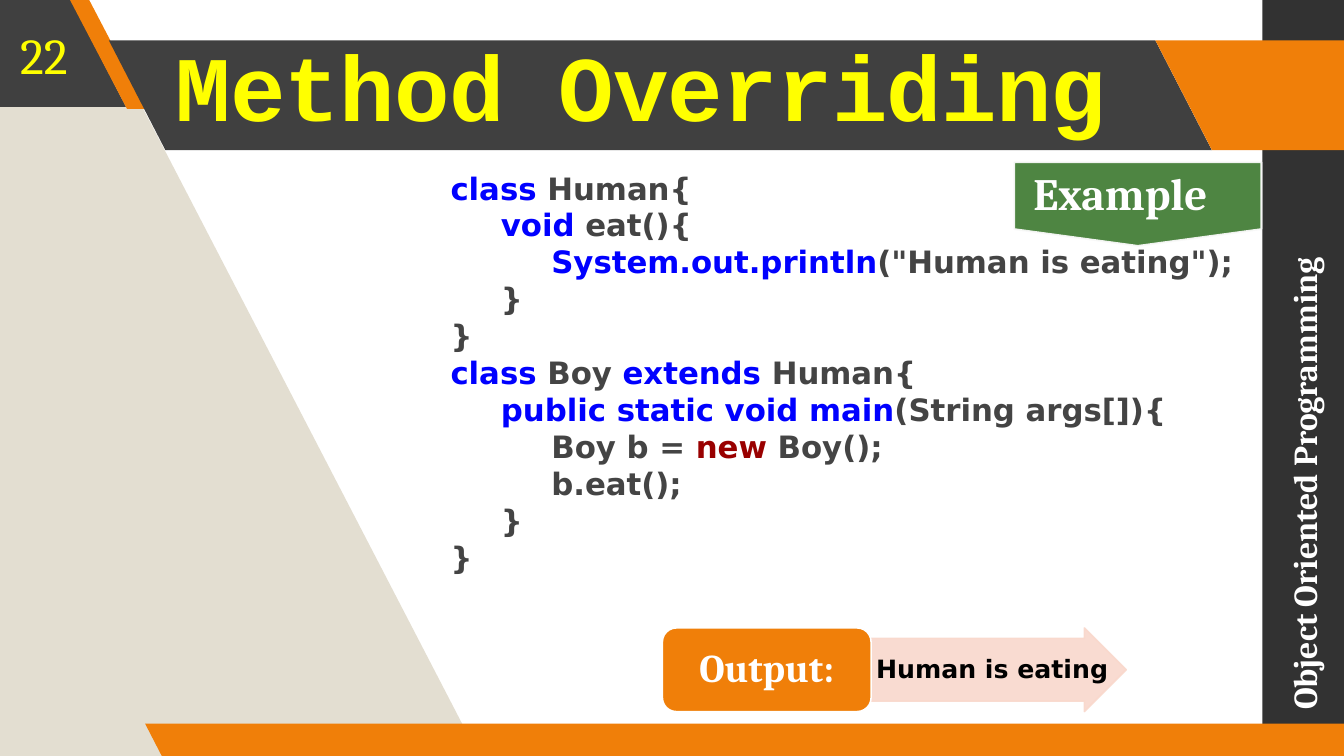
from pptx import Presentation
from pptx.dml.color import RGBColor
from pptx.enum.shapes import MSO_SHAPE as SHAPE
from pptx.enum.text import MSO_ANCHOR as ANCHOR, PP_ALIGN as ALIGN
from pptx.oxml.ns import qn
from pptx.util import Inches, Pt
from lxml import etree

WHITE = RGBColor(0xFF, 0xFF, 0xFF)
BLACK = RGBColor(0, 0, 0)
YELLOW = RGBColor(0xFF, 0xFF, 0)
ORANGE = RGBColor(0xF0, 0x7F, 0x09)
CHARCOAL = RGBColor(0x40, 0x40, 0x40)
SIDEBAR = RGBColor(0x32, 0x32, 0x32)
SAND = RGBColor(0xE3, 0xDE, 0xD1)
PEACH = RGBColor(0xF9, 0xD8, 0xCC)
GREEN = RGBColor(0x4E, 0x85, 0x42)
PALE = RGBColor(0xF9, 0xF9, 0xF9)
KEYWORD = RGBColor(0, 0, 0xFF)
PLAIN = RGBColor(0x44, 0x44, 0x44)
NEW = RGBColor(0x99, 0, 0)

SERIF, MONO, SANS = "Cambria", "Courier New", "DejaVu Sans"
INDENT = 0.5
SLANT = 0.515

# Each code line: indent level, then (text, colour) runs
CODE = [
    (0, [("class ", KEYWORD), ("Human{", PLAIN)]),
    (1, [("void ", KEYWORD), ("eat(){", PLAIN)]),
    (2, [("System.out.println", KEYWORD), ('("Human is eating");', PLAIN)]),
    (1, [("}", PLAIN)]),
    (0, [("}", PLAIN)]),
    (0, [("class ", KEYWORD), ("Boy ", PLAIN), ("extends ", KEYWORD), ("Human{", PLAIN)]),
    (1, [("public static void main", KEYWORD), ("(String args[]){", PLAIN)]),
    (2, [("Boy b = ", PLAIN), ("new ", NEW), ("Boy();", PLAIN)]),
    (2, [("b.eat();", PLAIN)]),
    (1, [("}", PLAIN)]),
    (0, [("}", PLAIN)]),
]

# Left, top, width, height, slant, fill
BANDS = [
    (-1.32, -0.03, 2.57, 1.09, SLANT, CHARCOAL),
    (0.69, -0.01, 0.76, 1.09, 0.75, ORANGE),
    (1.08, 0.4, 10.94, 1.09, SLANT, CHARCOAL),
    (11.46, 0.4, 2.57, 1.09, SLANT, ORANGE),
    (1.44, 7.18, 12.2, 0.33, SLANT, ORANGE),
]


def set_alpha(fill_parent, percent):
    """Make the solid fill directly under the given element translucent."""
    color = fill_parent.find(qn("a:solidFill"))[0]
    etree.SubElement(color, qn("a:alpha")).set("val", str(percent * 1000))


def paint(sp, fill, line=None, width=1.1, alpha=100, line_alpha=100):
    sp.shadow.inherit = False
    sp.fill.solid()
    sp.fill.fore_color.rgb = fill
    if line is None:
        sp.line.fill.background()
    else:
        sp.line.color.rgb = line
        sp.line.width = Pt(width)
    if alpha < 100:
        set_alpha(sp._element.spPr, alpha)
    if line_alpha < 100:
        set_alpha(sp._element.spPr.find(qn("a:ln")), line_alpha)
    return sp


def add_shape(s, kind, box, fill, adj=(), **style):
    sp = s.shapes.add_shape(kind, *map(Inches, box))
    for i, value in enumerate(adj):
        sp.adjustments[i] = value
    return paint(sp, fill, **style)


def add_band(s, left, top, width, height, slant, fill):
    """Parallelogram leaning to the left."""
    sp = add_shape(s, SHAPE.PARALLELOGRAM, (left, top, width, height), fill, [slant])
    sp._element.spPr.find(qn("a:xfrm")).set("flipH", "1")


def add_side_panel(s):
    builder = s.shapes.build_freeform(Inches(4.75), Inches(7.5))
    corners = [(0.83, -0.06), (-0.08, -0.05), (-0.03, 7.55)]
    builder.add_line_segments([(Inches(x), Inches(y)) for x, y in corners])
    paint(builder.convert_to_shape(), SAND)


def add_run(p, text, font=SERIF, size=24, color=WHITE, bold=True, spacing=None):
    r = p.add_run()
    r.text = text
    r.font.name = font
    r.font.size = Pt(size)
    r.font.bold = bold
    r.font.color.rgb = color
    if spacing is not None:
        r.font._element.set("spc", str(int(spacing * 100)))


def add_frame(s, box, anchor=ANCHOR.TOP, inset=(0.1, 0.05), rotation=0):
    sp = s.shapes.add_textbox(*map(Inches, box))
    sp.rotation = rotation
    tf = sp.text_frame
    tf.word_wrap = True
    tf.vertical_anchor = anchor
    tf.margin_left = tf.margin_right = Inches(inset[0])
    tf.margin_top = tf.margin_bottom = Inches(inset[1])
    return tf


def add_text(s, text, box, align=ALIGN.LEFT, line_spacing=None,
             anchor=ANCHOR.TOP, inset=(0.1, 0.05), rotation=0, **font):
    p = add_frame(s, box, anchor, inset, rotation).paragraphs[0]
    p.alignment = align
    if line_spacing:
        p.line_spacing = line_spacing
    add_run(p, text, **font)


def add_code(s, lines, box):
    tf = add_frame(s, box)
    for i, (level, runs) in enumerate(lines):
        p = tf.add_paragraph() if i else tf.paragraphs[0]
        p.alignment = ALIGN.JUSTIFY
        p.level = level
        pPr = p._p.get_or_add_pPr()
        pPr.set("marL", str(Inches(INDENT * level)))
        pPr.set("indent", "0")
        for text, color in runs:
            add_run(p, text, font=SANS, size=22, color=color)


def add_output(s):
    add_shape(s, SHAPE.RIGHT_ARROW, (8.62, 6.23, 2.55, 0.83), PEACH, [0.75, 0.5],
              line=PEACH, alpha=90, line_alpha=90)
    add_shape(s, SHAPE.ROUNDED_RECTANGLE, (6.57, 6.23, 2.07, 0.83), ORANGE, line=WHITE)
    add_text(s, "Output:", (6.61, 6.27, 1.99, 0.75), align=ALIGN.CENTER,
             line_spacing=0.9, anchor=ANCHOR.MIDDLE, inset=(0.12, 0.06), size=28)
    add_text(s, "Human is eating", (8.59, 6.43, 2.59, 0.4), align=ALIGN.JUSTIFY,
             font=SANS, size=18, color=BLACK)


def main():
    prs = Presentation()
    prs.slide_width, prs.slide_height = Inches(13.33), Inches(7.5)
    s = prs.slides.add_slide(prs.slide_layouts[6])

    add_shape(s, SHAPE.RECTANGLE, (12.52, 0, 0.83, 7.5), SIDEBAR)
    add_side_panel(s)
    for band in BANDS:
        add_band(s, *band)

    add_text(s, "Method Overriding", (1.61, 0.4, 11.04, 1.09), line_spacing=0.8,
             anchor=ANCHOR.MIDDLE, inset=(0.13, 0.13), font=MONO, size=66,
             color=YELLOW, spacing=-0.5)
    add_text(s, "Object Oriented Programming", (10.18, 4.19, 5.5, 0.4),
             anchor=ANCHOR.MIDDLE, rotation=270)
    add_text(s, "22", (0, 0, 0.87, 1.07), align=ALIGN.CENTER, anchor=ANCHOR.MIDDLE,
             inset=(0.1, 0.1), size=36, color=YELLOW, bold=False)
    add_code(s, CODE, (4.37, 1.63, 8.05, 4.17))
    add_output(s)
    add_shape(s, SHAPE.FLOWCHART_OFFPAGE_CONNECTOR, (10.06, 1.61, 2.45, 0.83), GREEN,
              line=PALE, width=1.35, line_alpha=95)
    add_text(s, "Example", (10.15, 1.59, 2.28, 0.64), size=32)
    prs.save("out.pptx")


if __name__ == "__main__":
    main()
